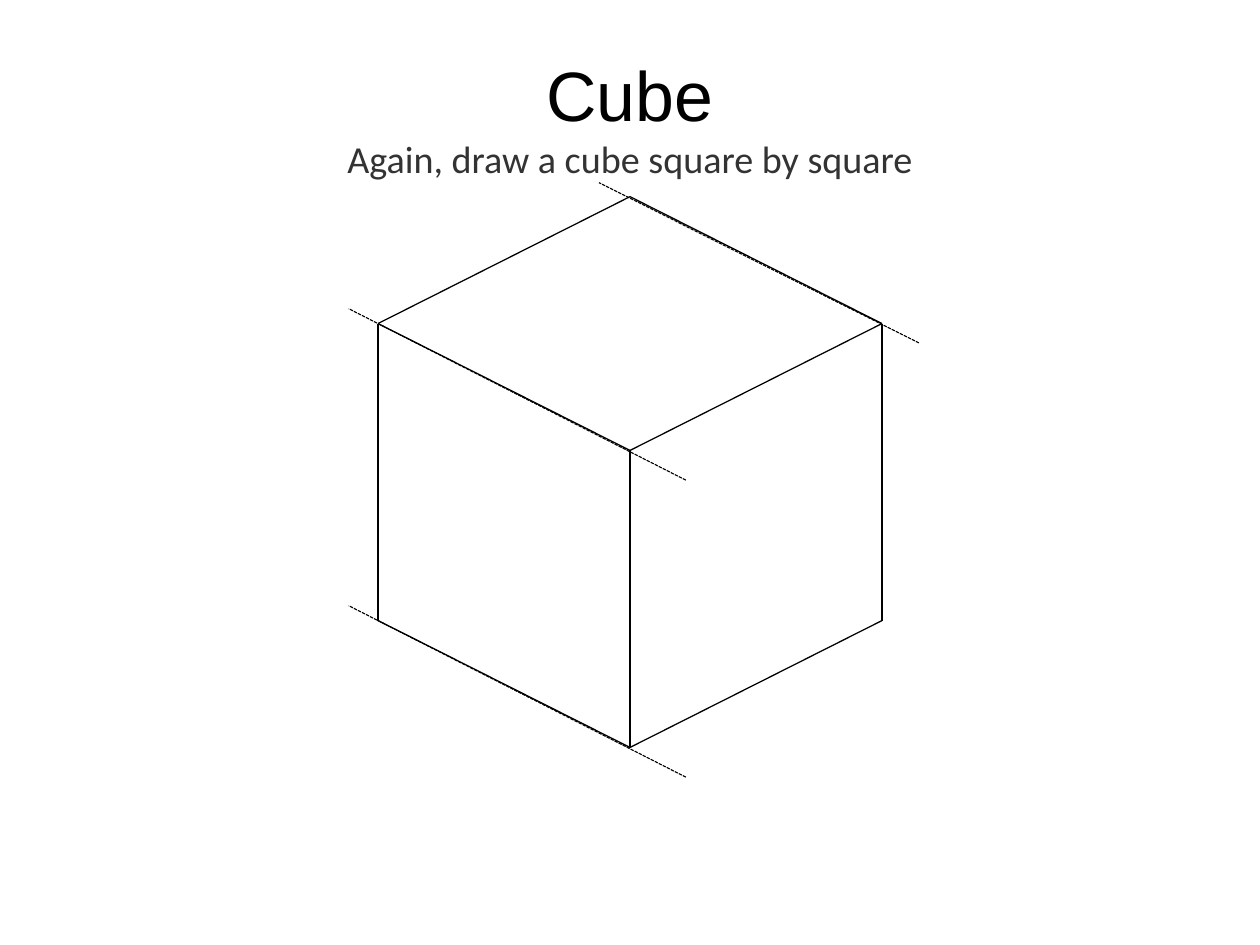
"""Build a slide that shows how to draw a cube from parallel lines."""
from lxml import etree
from pptx import Presentation
from pptx.dml.color import RGBColor
from pptx.enum import dml, shapes, text
from pptx.oxml import ns
from pptx.util import Cm, Pt

HEAD = [
    ("Cube", dict(name="Arial", size=Pt(44), bold=False), "000000"),
    ("Again, draw a cube square by square",
     dict(name="Calibri", size=Pt(24), bold=False), "333333"),
]
BOX = dict(left=Cm(1.4), top=Cm(0.84), width=Cm(25.2), height=Cm(3.5))
FRAME = dict(margin_left=0, margin_top=0, margin_right=0, margin_bottom=0,
             word_wrap=True, auto_size=text.MSO_AUTO_SIZE.NONE,
             vertical_anchor=text.MSO_ANCHOR.MIDDLE)

MID, TOP = 14, 4.37
HALF, RISE, TALL = 5.6, 2.82, 6.6
CORNERS = {
    "back": (MID, TOP),
    "left": (MID - HALF, TOP + RISE),
    "right": (MID + HALF, TOP + RISE),
    "front": (MID, TOP + 2 * RISE),
    "left foot": (MID - HALF, TOP + RISE + TALL),
    "right foot": (MID + HALF, TOP + RISE + TALL),
    "front foot": (MID, TOP + 2 * RISE + TALL),
}
EDGES = [
    ("left foot", "front foot"), ("front foot", "right foot"),
    ("front", "right"), ("left", "front"),
    ("right", "right foot"), ("left", "left foot"),
    ("back", "right"), ("left", "back"), ("front", "front foot"),
]
GUIDES = [
    ((15.24, 10.67), (7.75, 6.86)),
    ((20.42, 7.62), (13.31, 4.06)),
    ((15.24, 17.27), (7.75, 13.46)),
]


def paint(code):
    return RGBColor.from_string(code)


def apply(item, values):
    for key, value in values.items():
        setattr(item, key, value)


def draw(slide, start, end, **style):
    ends = [Cm(n) for n in (*start, *end)]
    line = slide.shapes.add_connector(shapes.MSO_CONNECTOR.STRAIGHT, *ends)
    apply(line.line, style)
    line.line.color.rgb = paint("000000")
    etree.SubElement(line._element.spPr, ns.qn("a:effectLst"))


def write(title):
    apply(title, BOX)
    apply(title.text_frame, FRAME)
    para = title.text_frame.paragraphs[0]
    para.alignment = text.PP_ALIGN.CENTER
    for i, (words, font, color) in enumerate(HEAD):
        if i:
            para.add_line_break()
        run = para.add_run()
        run.text = words
        apply(run.font, font)
        run.font.color.rgb = paint(color)


def main():
    deck = Presentation()
    apply(deck, dict(slide_width=Cm(28), slide_height=Cm(21)))
    slide = deck.slides.add_slide(deck.slide_layouts[5])
    write(slide.shapes.title)
    for a, b in EDGES:
        draw(slide, CORNERS[a], CORNERS[b], width=Pt(0.79))
    for a, b in GUIDES:
        draw(slide, a, b, width=Pt(0.71),
             dash_style=dml.MSO_LINE.SQUARE_DOT)
    deck.save("out.pptx")


if __name__ == "__main__":
    main()
